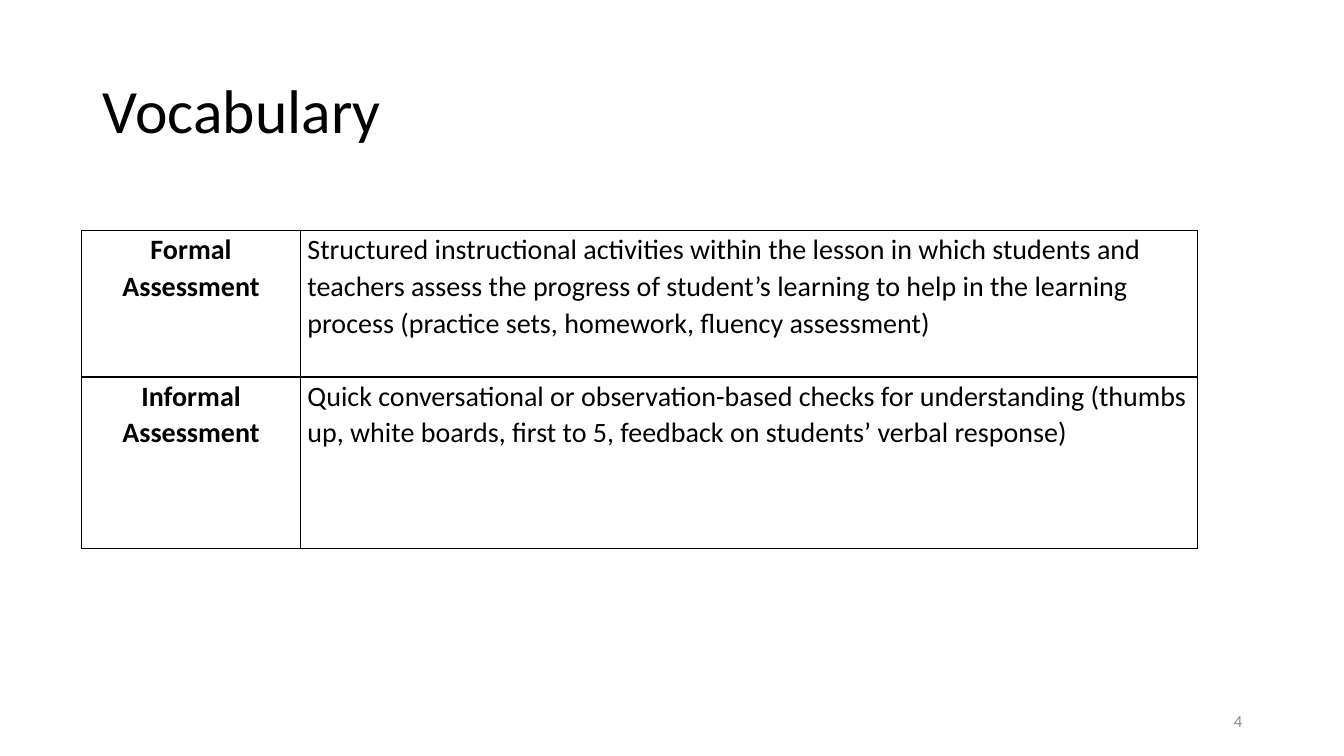
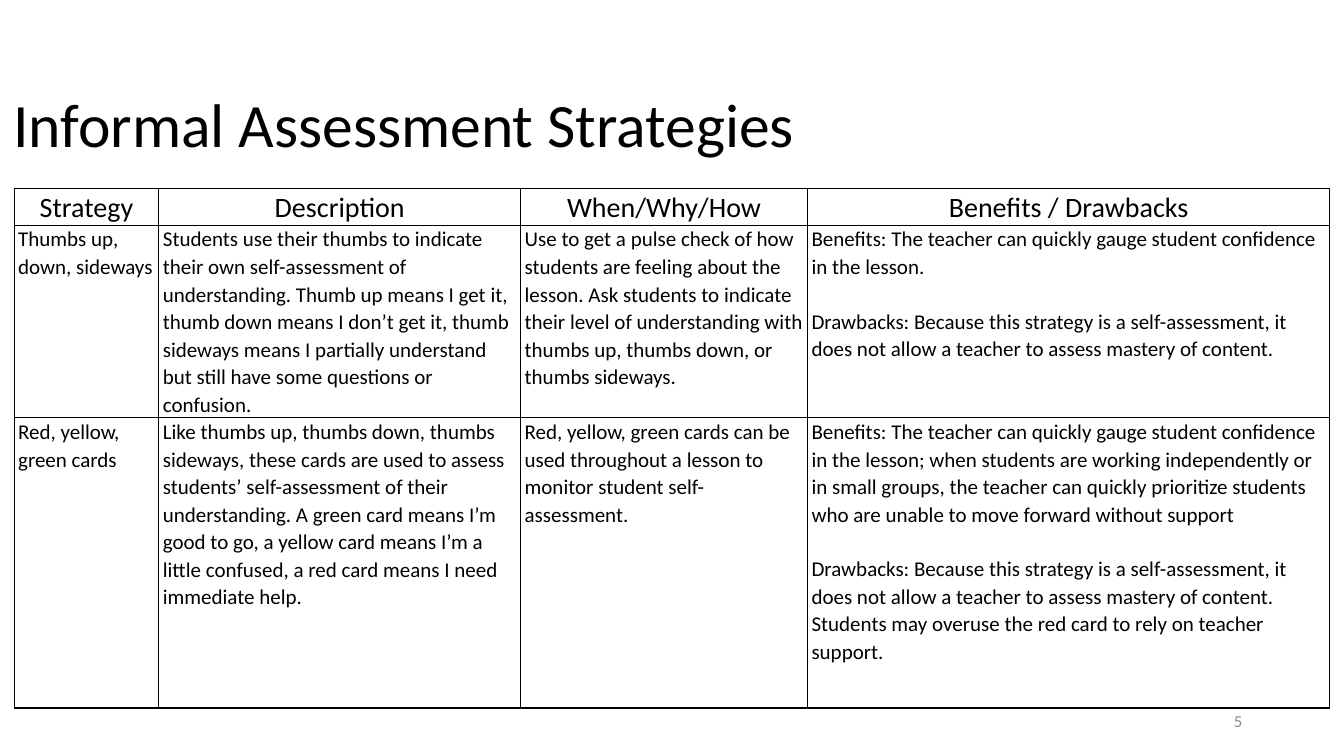
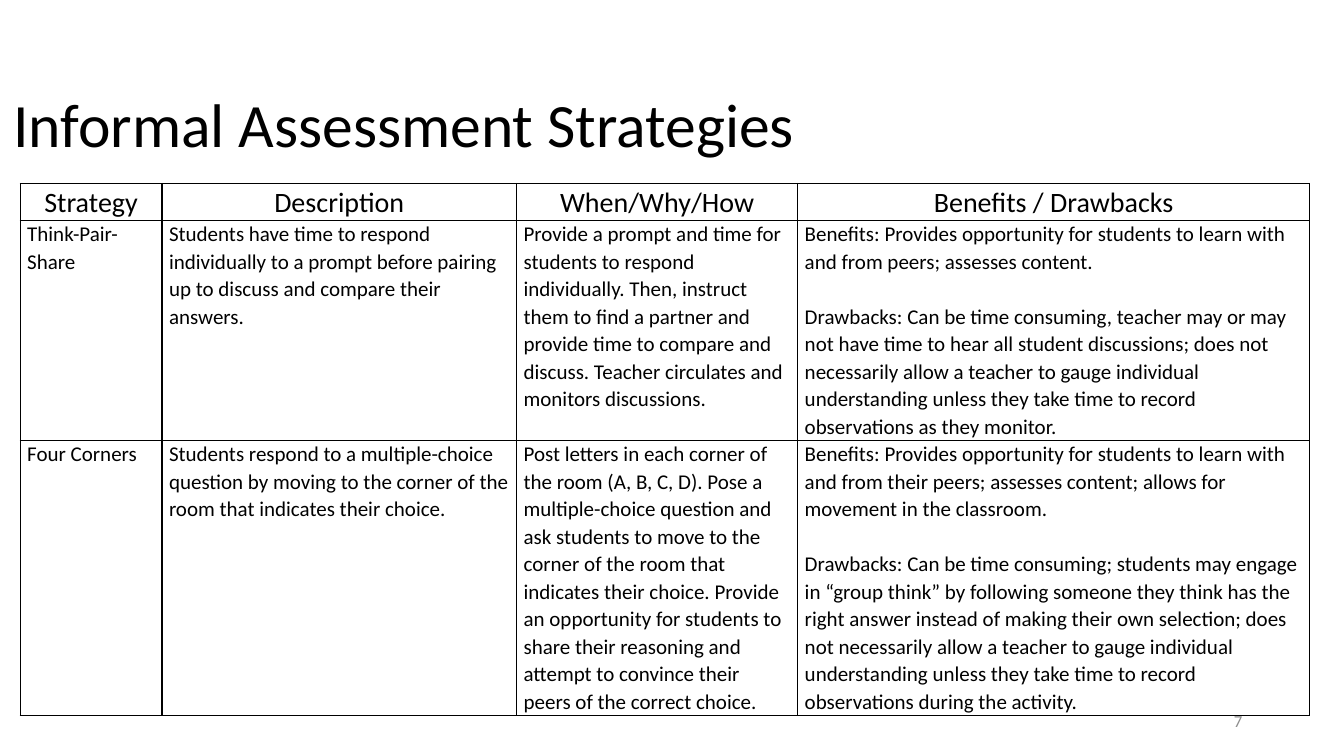
from lxml import etree
from pptx import Presentation
from pptx.dml.color import RGBColor
from pptx.enum.text import MSO_ANCHOR, PP_ALIGN
from pptx.oxml.ns import qn
from pptx.util import Inches, Pt

LEFT, CENTER, RIGHT = PP_ALIGN.LEFT, PP_ALIGN.CENTER, PP_ALIGN.RIGHT
MIDDLE, TOP = MSO_ANCHOR.MIDDLE, MSO_ANCHOR.TOP
FONT, INK, MUTED = "Calibri", "000000", "8C8C8C"
TITLE_ONLY = 5
BORDER_SIDES = ("a:lnL", "a:lnR", "a:lnT", "a:lnB")
TITLE_SIZE = (11.5, 1.45)
NUMBER_BOX = (9.42, 6.95, 3, 0.4)
PARAGRAPH_GAP = Pt(19.6)

TITLE_TEXT = {"size": 44, "align": LEFT, "spacing": 0.9}
NUMBER_TEXT = {"size": 12, "align": RIGHT, "color": MUTED}
TERM_TEXT = {"size": 20, "align": CENTER, "spacing": 1.07, "bold": True}
MEANING_TEXT = {"size": 20, "align": LEFT, "spacing": 1.07}
HEADING_TEXT = {"size": 20, "align": CENTER, "spacing": 1.07}
BODY_TEXT = {"size": 15, "align": LEFT, "spacing": 1.07}

STRATEGY_HEADINGS = ("Strategy", "Description", "When/Why/How", "Benefits / Drawbacks")
STRATEGY_SHARES = (11, 27.5, 21.8, 39.7)
STRATEGY_TITLE = "Informal Assessment Strategies"

pages = [
    {
        "title": "Vocabulary", "title_at": (0.92, 0.4), "number": "4",
        "table_at": (0.81, 2.29), "width": 11.07,
        "shares": (19.6, 80.4), "heights": (1.45, 1.7),
        "insets": (0.07, 0.07),
        "formats": [(TERM_TEXT, MEANING_TEXT)] * 2,
        "rows": [
            ("Formal Assessment",
             "Structured instructional activities within the lesson in which students and teachers "
             "assess the progress of student’s learning to help in the learning process "
             "(practice sets, homework, fluency assessment)"),
            ("Informal Assessment",
             "Quick conversational or observation-based checks for understanding (thumbs up, "
             "white boards, first to 5, feedback on students’ verbal response)"),
        ],
    },
    {
        "title": STRATEGY_TITLE, "title_at": (0.03, 0.54), "number": "5",
        "table_at": (0.14, 1.87), "width": 13.05,
        "shares": STRATEGY_SHARES, "heights": (0.33, 1.52, 2.88),
        "insets": (0.04, 0.04, 0.04),
        "formats": [(HEADING_TEXT,) * 4] + [(BODY_TEXT,) * 4] * 2,
        "rows": [
            STRATEGY_HEADINGS,
            ("Thumbs up, down, sideways",
             "Students use their thumbs to indicate their own self-assessment of understanding. "
             "Thumb up means I get it, thumb down means I don’t get it, thumb sideways means "
             "I partially understand but still have some questions or confusion.",
             "Use to get a pulse check of how students are feeling about the lesson. Ask students "
             "to indicate their level of understanding with thumbs up, thumbs down, or thumbs sideways.",
             "Benefits: The teacher can quickly gauge student confidence in the lesson.\n"
             "Drawbacks: Because this strategy is a self-assessment, it does not allow a teacher "
             "to assess mastery of content."),
            ("Red, yellow, green cards",
             "Like thumbs up, thumbs down, thumbs sideways, these cards are used to assess "
             "students’ self-assessment of their understanding. A green card means I’m good to go, "
             "a yellow card means I’m a little confused, a red card means I need immediate help.",
             "Red, yellow, green cards can be used throughout a lesson to monitor student self-assessment.",
             "Benefits: The teacher can quickly gauge student confidence in the lesson; when students "
             "are working independently or in small groups, the teacher can quickly prioritize "
             "students who are unable to move forward without support\n"
             "Drawbacks: Because this strategy is a self-assessment, it does not allow a teacher to "
             "assess mastery of content. Students may overuse the red card to rely on teacher support."),
        ],
    },
    {
        "title": STRATEGY_TITLE, "title_at": (0.03, 0.54), "number": "7",
        "table_at": (0.2, 1.82), "width": 12.79,
        "shares": STRATEGY_SHARES, "heights": (0.32, 2.02, 2.53),
        "insets": (0.04, 0.07, 0.07),
        "formats": [(HEADING_TEXT,) * 4] + [(BODY_TEXT,) * 4] * 2,
        "rows": [
            STRATEGY_HEADINGS,
            ("Think-Pair-Share",
             "Students have time to respond individually to a prompt before pairing up to discuss "
             "and compare their answers.",
             "Provide a prompt and time for students to respond individually. Then, instruct them "
             "to find a partner and provide time to compare and discuss. Teacher circulates and "
             "monitors discussions.",
             "Benefits: Provides opportunity for students to learn with and from peers; assesses content.\n"
             "Drawbacks: Can be time consuming, teacher may or may not have time to hear all student "
             "discussions; does not necessarily allow a teacher to gauge individual understanding "
             "unless they take time to record observations as they monitor."),
            ("Four Corners",
             "Students respond to a multiple-choice question by moving to the corner of the room "
             "that indicates their choice.",
             "Post letters in each corner of the room (A, B, C, D). Pose a multiple-choice question "
             "and ask students to move to the corner of the room that indicates their choice. Provide "
             "an opportunity for students to share their reasoning and attempt to convince their "
             "peers of the correct choice.",
             "Benefits: Provides opportunity for students to learn with and from their peers; "
             "assesses content; allows for movement in the classroom.\n"
             "Drawbacks: Can be time consuming; students may engage in “group think” by following "
             "someone they think has the right answer instead of making their own selection; does not "
             "necessarily allow a teacher to gauge individual understanding unless they take time to "
             "record observations during the activity."),
        ],
    },
]


def rgb(hex_color):
    return RGBColor.from_string(hex_color)


def write(frame, text, style, anchor):
    frame.word_wrap = True
    frame.vertical_anchor = anchor
    frame.text = text
    for index, paragraph in enumerate(frame.paragraphs):
        paragraph.alignment = style["align"]
        paragraph.line_spacing = style.get("spacing", 1.0)
        if index:
            paragraph.space_before = PARAGRAPH_GAP
        font_values = {"name": FONT, "size": Pt(style["size"]), "bold": style.get("bold", False)}
        for run in paragraph.runs:
            for attribute, value in font_values.items():
                setattr(run.font, attribute, value)
            run.font.color.rgb = rgb(style.get("color", INK))


deck = Presentation()
deck.slide_width, deck.slide_height = Inches(13.33), Inches(7.5)

for page in pages:
    slide = deck.slides.add_slide(deck.slide_layouts[TITLE_ONLY])

    title = slide.shapes.title
    bounds = page["title_at"] + TITLE_SIZE
    for attribute, length in zip(("left", "top", "width", "height"), bounds):
        setattr(title, attribute, Inches(length))
    write(title.text_frame, page["title"], TITLE_TEXT, MIDDLE)

    rows, shares, heights = page["rows"], page["shares"], page["heights"]
    table = slide.shapes.add_table(
        len(rows), len(shares), *map(Inches, page["table_at"]),
        Inches(page["width"]), Inches(sum(heights))).table
    table.first_row = table.horz_banding = False
    for column, share in zip(table.columns, shares):
        column.width = Inches(page["width"] * share / 100)

    for row, height, inset, texts, styles in zip(
            table.rows, heights, page["insets"], rows, page["formats"]):
        row.height = Inches(height)
        for cell, text, style in zip(row.cells, texts, styles):
            cell.margin_left = cell.margin_right = Inches(inset)
            cell.margin_top = cell.margin_bottom = 0
            write(cell.text_frame, text, style, TOP)
            cell_format = cell._tc.get_or_add_tcPr()
            for side in BORDER_SIDES:
                border = etree.SubElement(cell_format, qn(side), w=str(Pt(1)))
                fill = etree.SubElement(border, qn("a:solidFill"))
                etree.SubElement(fill, qn("a:srgbClr"), val=INK)
            cell.fill.background()

    page_number = slide.shapes.add_textbox(*map(Inches, NUMBER_BOX))
    write(page_number.text_frame, page["number"], NUMBER_TEXT, MIDDLE)

deck.save("out.pptx")
